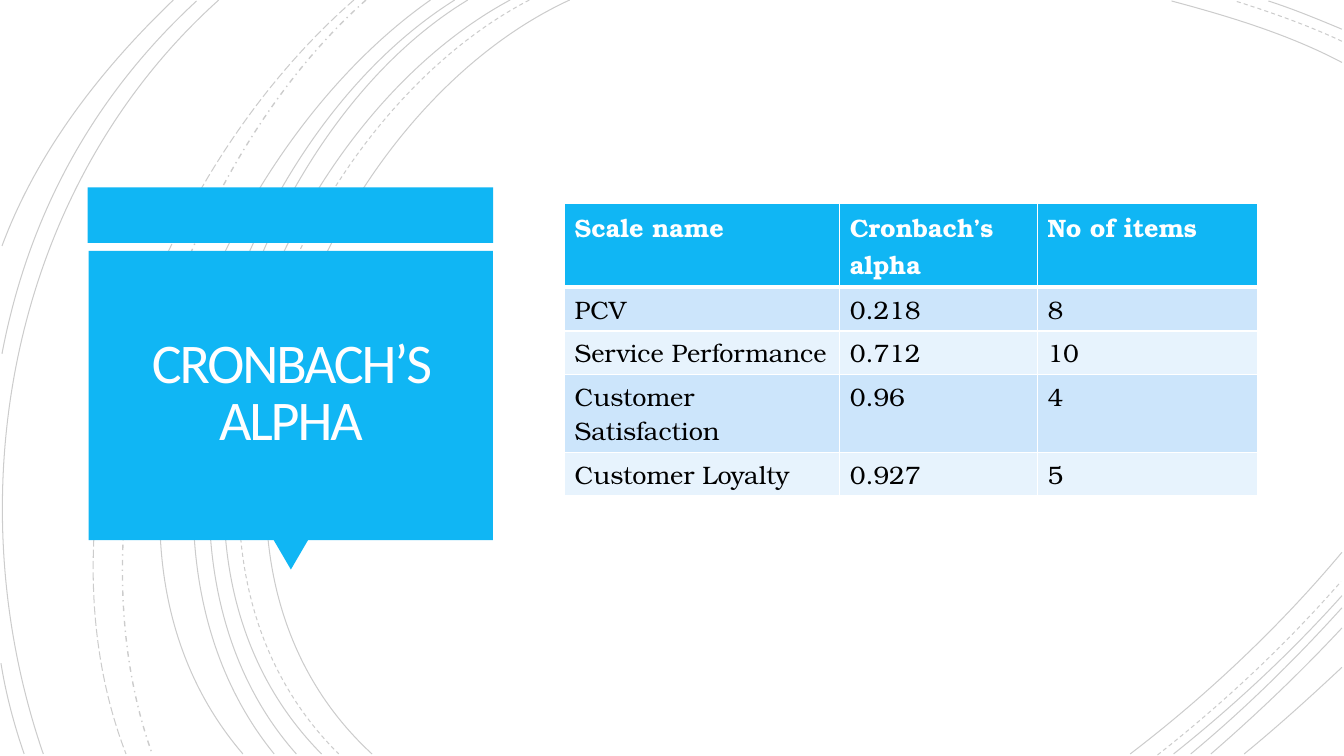
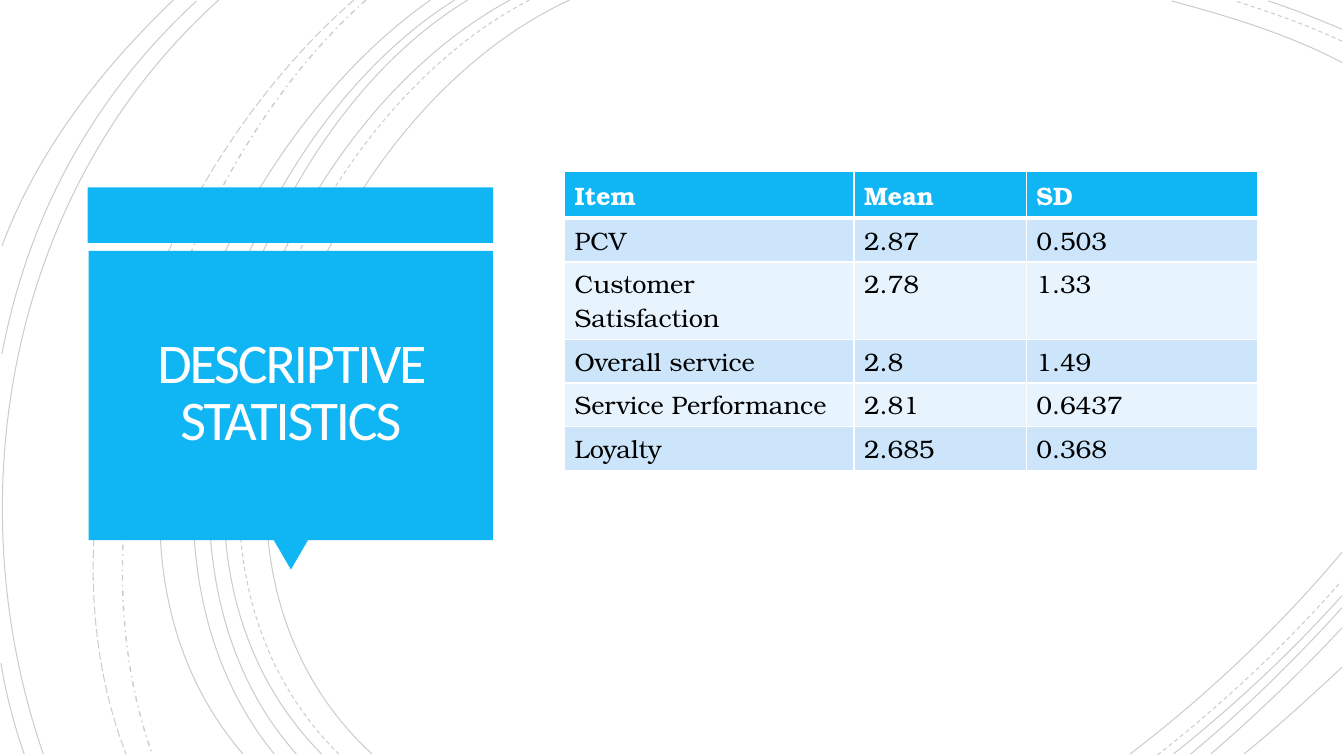
import dataclasses

import pptx
import pptx.dml.color
import pptx.enum.dml
import pptx.enum.shapes
import pptx.enum.text
import pptx.oxml
import pptx.oxml.ns
import pptx.util

Inches = pptx.util.Inches
Pt = pptx.util.Pt
Dash = pptx.enum.dml.MSO_LINE
Preset = pptx.enum.shapes.MSO_SHAPE
Align = pptx.enum.text.PP_ALIGN

ACCENT = "10B6F4"
WHITE = "FFFFFF"
TITLE_COLOR = "FFFEFF"
BLACK = "000000"
ROW_FILLS = ("CCE5FB", "E7F3FD")
TITLE_FONT = "Calibri"
TABLE_FONT = "TeX Gyre Bonum"
TITLE_ONLY_LAYOUT = 5
CURVE_OPACITY = 20
ROW_HEIGHT = 0.41
TABLE_LEFT = 5.6

Point = tuple[float, float]


@dataclasses.dataclass(frozen=True)
class Curve:
    """A cubic curve: start, two control points and end, in inches."""
    points: tuple[Point, Point, Point, Point]
    dash: Dash = Dash.SOLID
    width: float = 0.75


@dataclasses.dataclass(frozen=True)
class Panel:
    preset: Preset
    left: float
    top: float
    width: float
    height: float
    rotation: float = 0


@dataclasses.dataclass(frozen=True)
class TableSlide:
    title: str
    top: float
    header_height: float
    column_widths: tuple[float, ...]
    rows: tuple[tuple[str, ...], ...]


CURVES = (
    Curve(((5.65, 0), (3.15, 1.15), (1.43, 5.4), (3.69, 7.48))),
    Curve(((13.31, 0.62), (12.78, 0.34), (12.18, 0.16), (11.62, 0.01))),
    Curve(((11.21, 7.48), (11.97, 6.9), (12.69, 6.22), (13.31, 5.48))),
    Curve(((5.25, 0), (2.85, 1.25), (1.23, 5.37), (3.36, 7.48)), Dash.DASH),
    Curve(((13.31, 0.41), (12.97, 0.25), (12.6, 0.12), (12.25, 0.01)), Dash.DASH),
    Curve(((11.48, 7.49), (12.13, 6.98), (12.75, 6.4), (13.3, 5.77)), Dash.DASH),
    Curve(((5.06, 0), (2.7, 1.27), (1.1, 5.37), (3.19, 7.48))),
    Curve(((13.31, 0.29), (13.07, 0.19), (12.83, 0.09), (12.58, 0.01))),
    Curve(((11.64, 7.48), (12.23, 7.01), (12.8, 6.48), (13.31, 5.91))),
    Curve(((4.64, 0), (2.44, 1.33), (1.1, 5.41), (2.94, 7.48))),
    Curve(((11.81, 7.48), (12.34, 7.04), (12.84, 6.55), (13.31, 6.03))),
    Curve(((4.51, 0), (2.31, 1.38), (0.97, 5.33), (2.72, 7.48))),
    Curve(((12.01, 7.48), (12.46, 7.09), (12.9, 6.67), (13.31, 6.23))),
    Curve(((4.27, 0), (2.17, 1.47), (0.53, 5.29), (2.41, 7.48))),
    Curve(((12.34, 7.48), (12.67, 7.21), (12.99, 6.92), (13.31, 6.62))),
    Curve(((3.63, 0), (1.76, 1.66), (0.65, 5.09), (1.51, 7.48)), Dash.DASH_DOT, 1),
    Curve(((3.51, 0), (1.57, 1.69), (0.29, 4.99), (1.25, 7.48)), Dash.LONG_DASH),
    Curve(((2.17, 0), (0.11, 1.85), (-0.46, 4.9), (0.43, 7.48))),
    Curve(((1.95, 0.01), (0.92, 0.96), (0.28, 2.14), (0.02, 3.51))),
    Curve(((0.01, 6.58), (0.06, 6.89), (0.14, 7.19), (0.24, 7.48))),
    Curve(((1.72, 0), (1, 0.69), (0.37, 1.5), (0.02, 2.44))),
)

PANELS = (
    Panel(Preset.RECTANGLE, 0.87, 1.86, 4.02, 0.55),
    Panel(Preset.ISOSCELES_TRIANGLE, 2.71, 5.35, 0.35, 0.3, rotation=180),
    Panel(Preset.RECTANGLE, 0.88, 2.49, 4.01, 2.87),
)

TABLE_SLIDES = (
    TableSlide("CRONBACH’S ALPHA", 2.02, 0.68, (2.73, 1.96, 2.18), (
        ("Scale name", "Cronbach’s alpha", "No of items"),
        ("PCV", "0.218", "8"),
        ("Service Performance", "0.712", "10"),
        ("Customer Satisfaction", "0.96", "4"),
        ("Customer Loyalty", "0.927", "5"),
    )),
    TableSlide("DESCRIPTIVE STATISTICS", 1.7, 0.38, (2.87, 1.71, 2.29), (
        ("Item", "Mean", "SD"),
        ("PCV", "2.87", "0.503"),
        ("Customer Satisfaction", "2.78", "1.33"),
        ("Overall service", "2.8", "1.49"),
        ("Service Performance", "2.81", "0.6437"),
        ("Loyalty", "2.685", "0.368"),
    )),
)


def color(value: str) -> pptx.dml.color.RGBColor:
    return pptx.dml.color.RGBColor.from_string(value)


def write_text(text_frame, text: str, *, font: str, size: float, fill: str,
               bold: bool = False, align: Align = Align.LEFT,
               line_spacing: float = 1.0, tracking: float = 0) -> None:
    """Write one formatted paragraph; tracking is letter spacing in points."""
    paragraph = text_frame.paragraphs[0]
    paragraph.alignment = align
    paragraph.line_spacing = line_spacing
    run = paragraph.add_run()
    run.text = text
    run.font.name = font
    run.font.size = Pt(size)
    run.font.bold = bold
    run.font.color.rgb = color(fill)
    if tracking:
        run.font._element.set("spc", str(round(tracking * 100)))


def draw_curve(slide, curve: Curve):
    """Draw the control polygon, then turn its three lines into one curve."""
    start, *rest = [(Inches(x), Inches(y)) for x, y in curve.points]
    builder = slide.shapes.build_freeform(*start)
    builder.add_line_segments(rest, close=False)
    shape = builder.convert_to_shape()
    lines = shape._element.xpath(".//a:lnTo")
    bezier = pptx.oxml.parse_xml(
        f'<a:cubicBezTo {pptx.oxml.ns.nsdecls("a")}/>')
    lines[0].addprevious(bezier)
    for line in lines:
        bezier.append(line[0])
        line.getparent().remove(line)
    shape.shadow.inherit = False
    shape.fill.background()
    shape.line.width = Pt(curve.width)
    shape.line.color.rgb = color(BLACK)
    shape.line.dash_style = curve.dash
    line_color = shape._element.xpath(".//a:ln//a:srgbClr")[0]
    line_color.append(pptx.oxml.parse_xml(
        f'<a:alpha {pptx.oxml.ns.nsdecls("a")} val="{CURVE_OPACITY * 1000}"/>'))
    return shape


def draw_panel(slide, panel: Panel):
    shape = slide.shapes.add_shape(
        panel.preset, Inches(panel.left), Inches(panel.top),
        Inches(panel.width), Inches(panel.height))
    shape.rotation = panel.rotation
    shape.shadow.inherit = False
    shape.fill.solid()
    shape.fill.fore_color.rgb = color(ACCENT)
    shape.line.fill.background()
    return shape


def decorate_layout(layout, slide) -> None:
    """Draw the shared backdrop on a slide, then move it to the layout."""
    for placeholder in list(layout.placeholders):
        if placeholder.placeholder_format.idx != 0:
            layout.shapes._spTree.remove(placeholder._element)
    curves = [draw_curve(slide, curve) for curve in CURVES]
    panels = [draw_panel(slide, panel) for panel in PANELS]
    groups = [slide.shapes.add_group_shape(shapes) for shapes in (curves, panels)]
    for group in groups:
        layout.shapes._spTree.append(group._element)


def fill_title(slide, text: str) -> None:
    title = slide.shapes.title
    title.left, title.top = Inches(0.97), Inches(2.57)
    title.width, title.height = Inches(3.83), Inches(2.69)
    frame = title.text_frame
    frame.word_wrap = True
    frame.auto_size = pptx.enum.text.MSO_AUTO_SIZE.NONE
    frame.vertical_anchor = pptx.enum.text.MSO_ANCHOR.MIDDLE
    frame.margin_left = frame.margin_right = Inches(0.25)
    frame.margin_top = frame.margin_bottom = Inches(0.25)
    write_text(frame, text, font=TITLE_FONT, size=40, fill=TITLE_COLOR,
               align=Align.CENTER, line_spacing=0.85, tracking=-1.5)


def set_borders(cell, top: float, bottom: float) -> None:
    """Give a cell white borders; widths are in points, the sides being 1."""
    properties = cell._tc.get_or_add_tcPr()
    for side, width in (("L", 1), ("R", 1), ("T", top), ("B", bottom)):
        properties.append(pptx.oxml.parse_xml(
            f'<a:ln{side} {pptx.oxml.ns.nsdecls("a")} w="{Pt(width)}">'
            f'<a:solidFill><a:srgbClr val="{WHITE}"/></a:solidFill></a:ln{side}>'))


def draw_table(slide, content: TableSlide) -> None:
    row_count, column_count = len(content.rows), len(content.column_widths)
    heights = [content.header_height] + [ROW_HEIGHT] * (row_count - 1)
    table = slide.shapes.add_table(
        row_count, column_count, Inches(TABLE_LEFT), Inches(content.top),
        Inches(sum(content.column_widths)), Inches(sum(heights))).table
    for column, width in zip(table.columns, content.column_widths):
        column.width = Inches(width)
    for row_index, (height, texts) in enumerate(zip(heights, content.rows)):
        table.rows[row_index].height = Inches(height)
        is_header = row_index == 0
        for column_index, text in enumerate(texts):
            cell = table.cell(row_index, column_index)
            set_borders(cell, top=3 if row_index == 1 else 1,
                        bottom=3 if is_header else 1)
            cell.fill.solid()
            cell.fill.fore_color.rgb = color(
                ACCENT if is_header else ROW_FILLS[(row_index - 1) % 2])
            write_text(cell.text_frame, text, font=TABLE_FONT, size=18,
                       fill=WHITE if is_header else BLACK, bold=is_header)


def main() -> None:
    presentation = pptx.Presentation()
    presentation.slide_width = Inches(13.33)
    presentation.slide_height = Inches(7.5)
    layout = presentation.slide_layouts[TITLE_ONLY_LAYOUT]
    slides = [presentation.slides.add_slide(layout) for _ in TABLE_SLIDES]
    decorate_layout(layout, slides[0])
    for slide, content in zip(slides, TABLE_SLIDES):
        fill_title(slide, content.title)
        draw_table(slide, content)
    presentation.save("out.pptx")


if __name__ == "__main__":
    main()
